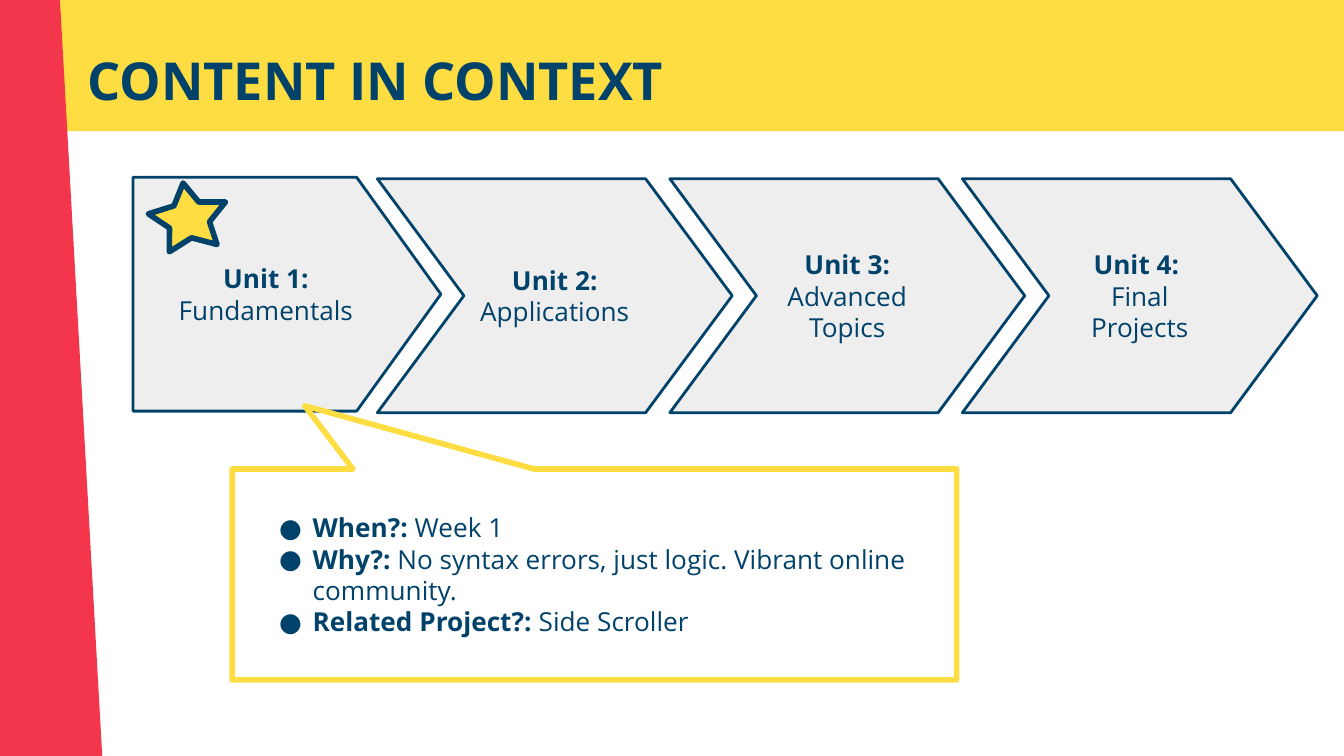
"""Build the course slide that places unit 1 in the context of four units."""
import pptx
import pptx.util
import pptx.dml.color
import pptx.enum.shapes
import pptx.enum.text
import pptx.oxml.ns
from lxml import etree

Pt = pptx.util.Pt
SHAPE = pptx.enum.shapes.MSO_SHAPE
ANCHOR = pptx.enum.text.MSO_ANCHOR
ALIGN = pptx.enum.text.PP_ALIGN
qn = pptx.oxml.ns.qn

COLORS = {"navy": "01426A", "yellow": "FDDD41", "red": "F4364C", "gray": "EEEEEE"}
FONT = "Open Sans"
TITLE = "CONTENT IN CONTEXT"
UNITS = [
    [("Unit 1: ", "Fundamentals")],
    [("Unit 2: ", "Applications")],
    [("Unit 3: ", "Advanced Topics")],
    [("Unit 4: ", ""), ("", "Final Projects")],
]
DETAILS = [
    ("When?: ", "Week 1"),
    ("Why?: ", "No syntax errors, just logic. Vibrant online community."),
    ("Related Project?: ", "Side Scroller"),
]
FIRST_BOX = (71.3, 95, 164.9, 125.3)
CHEVRON_LEFT, CHEVRON_TOP, CHEVRON_STEP = 202.2, 95.8, 156.7
CHEVRON_SIZE = (190.1, 125.3)


def rgb(name):
    return pptx.dml.color.RGBColor.from_string(COLORS[name])


def style_font(font, size, bold):
    font.name, font.size, font.bold = FONT, Pt(size), bold
    font.color.rgb = rgb("navy")


def set_frame(tf, anchor):
    tf.word_wrap = True
    tf.auto_size = pptx.enum.text.MSO_AUTO_SIZE.NONE
    tf.vertical_anchor = anchor
    tf.margin_left = tf.margin_right = tf.margin_top = tf.margin_bottom = Pt(7.2)


def add_shape(s, kind, box, fill=None, line=None, width=0, rotation=0, adjust=()):
    sp = s.shapes.add_shape(kind, *map(Pt, box))
    sp.shadow.inherit = False
    sp.rotation = rotation
    for i, value in enumerate(adjust):
        sp.adjustments[i] = value
    if fill:
        sp.fill.solid()
        sp.fill.fore_color.rgb = rgb(fill)
    else:
        sp.fill.background()
    if line:
        sp.line.color.rgb = rgb(line)
        sp.line.width = Pt(width)
        etree.SubElement(sp.line._get_or_add_ln(), qn("a:round"))
    else:
        sp.line.fill.background()
    return sp


def add_bullet(p):
    pPr = p._p.get_or_add_pPr()
    pPr.set("marL", str(Pt(36)))
    pPr.set("indent", str(-Pt(18)))
    color = etree.SubElement(pPr, qn("a:buClr"))
    etree.SubElement(color, qn("a:srgbClr"), val=COLORS["navy"])
    etree.SubElement(pPr, qn("a:buFont"), typeface=FONT)
    etree.SubElement(pPr, qn("a:buChar"), char="●")


def fill_text(sp, lines, align, bullets=False):
    tf = sp.text_frame
    set_frame(tf, ANCHOR.MIDDLE)
    for i, parts in enumerate(lines):
        p = tf.paragraphs[0] if i == 0 else tf.add_paragraph()
        p.alignment = align
        if bullets:
            add_bullet(p)
        for text, bold in zip(parts, (True, False)):
            if text:
                r = p.add_run()
                r.text = text
                style_font(r.font, 14, bold)


def add_title(s):
    sp = s.shapes.title
    sp.left, sp.top, sp.width, sp.height = map(Pt, (39.6, 18.7, 671, 45.4))
    tf = sp.text_frame
    tf.text = TITLE
    set_frame(tf, ANCHOR.TOP)
    p = tf.paragraphs[0]
    p.alignment = ALIGN.LEFT
    style_font(p.runs[0].font, 28, True)
    sp.element.getparent().append(sp.element)


def add_units(s):
    for i, lines in enumerate(UNITS):
        if i == 0:
            kind, box, point = SHAPE.PENTAGON, FIRST_BOX, 0.36
        else:
            left = CHEVRON_LEFT + (i - 1) * CHEVRON_STEP
            kind, box, point = SHAPE.CHEVRON, (left, CHEVRON_TOP, *CHEVRON_SIZE), 0.37
        sp = add_shape(s, kind, box, "gray", "navy", 1.5, adjust=[point])
        fill_text(sp, lines, ALIGN.CENTER)


def main():
    prs = pptx.Presentation()
    prs.slide_width, prs.slide_height = Pt(720), Pt(405)
    s = prs.slides.add_slide(prs.slide_layouts[5])
    add_shape(s, SHAPE.RECTANGLE, (0, 0, 720, 70.3), "yellow")
    add_shape(s, SHAPE.RECTANGLE, (-369.4, 50.4, 735.1, 77.8), "red", rotation=86.8)
    add_title(s)
    add_units(s)
    callout = add_shape(s, SHAPE.RECTANGULAR_CALLOUT, (124.4, 251.3, 388.1, 113),
                        line="yellow", width=3, adjust=[-0.4, -0.8])
    fill_text(callout, DETAILS, ALIGN.LEFT, bullets=True)
    add_shape(s, SHAPE.STAR_5_POINT, (79.9, 97.9, 41.8, 35.3), "yellow", "navy", 3,
              rotation=351.2, adjust=[0.26])
    prs.save("out.pptx")


if __name__ == "__main__":
    main()
